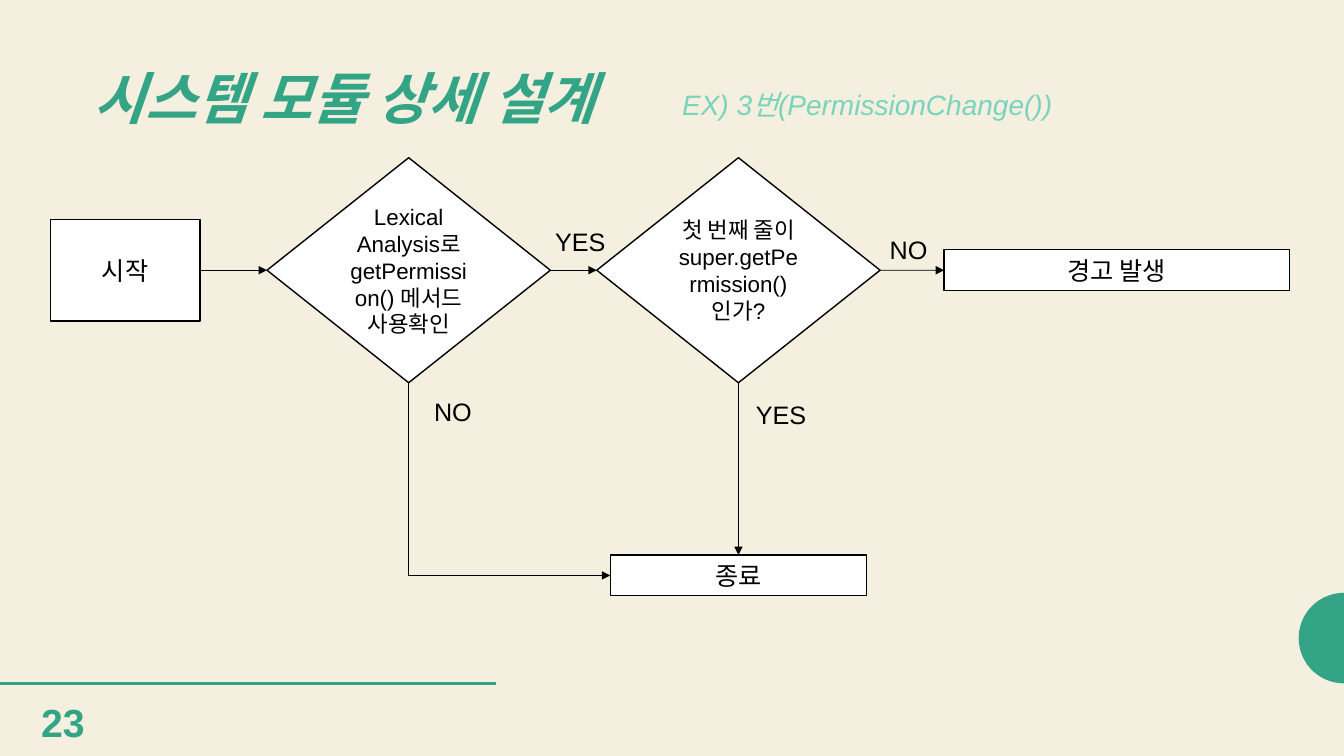
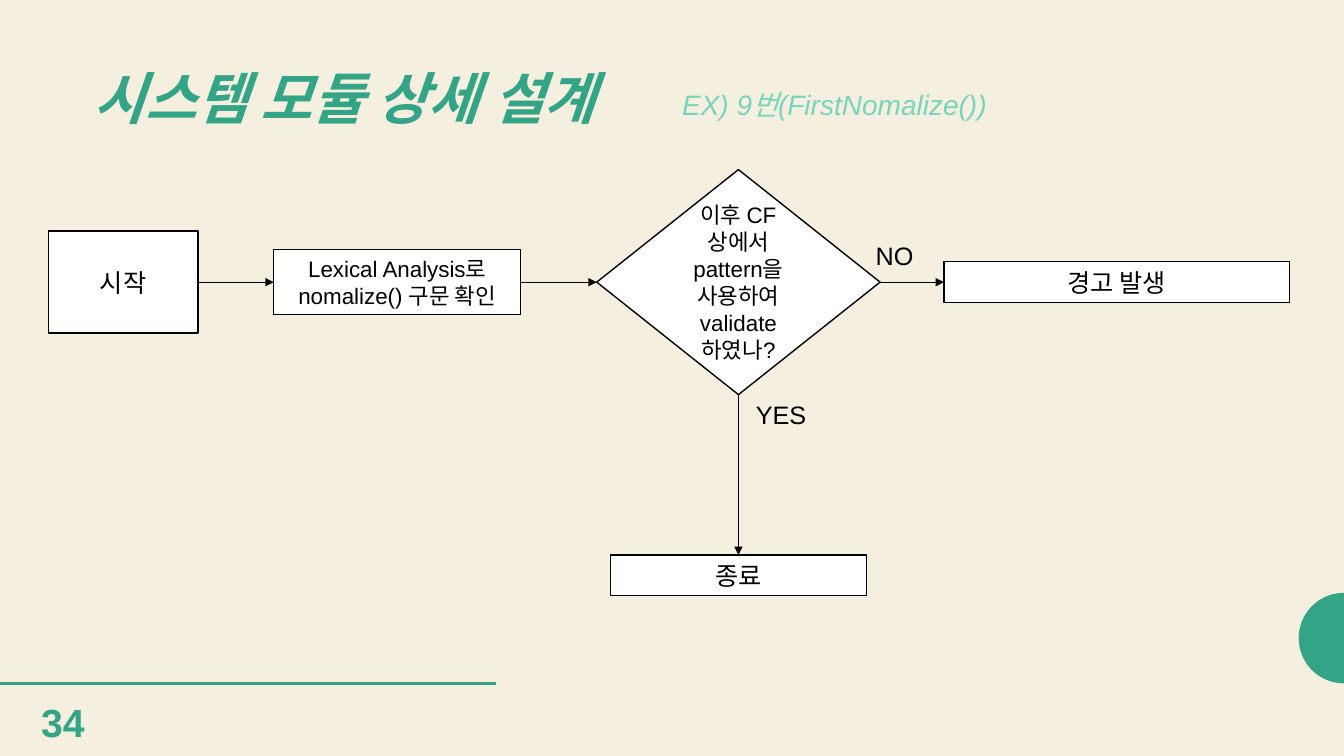
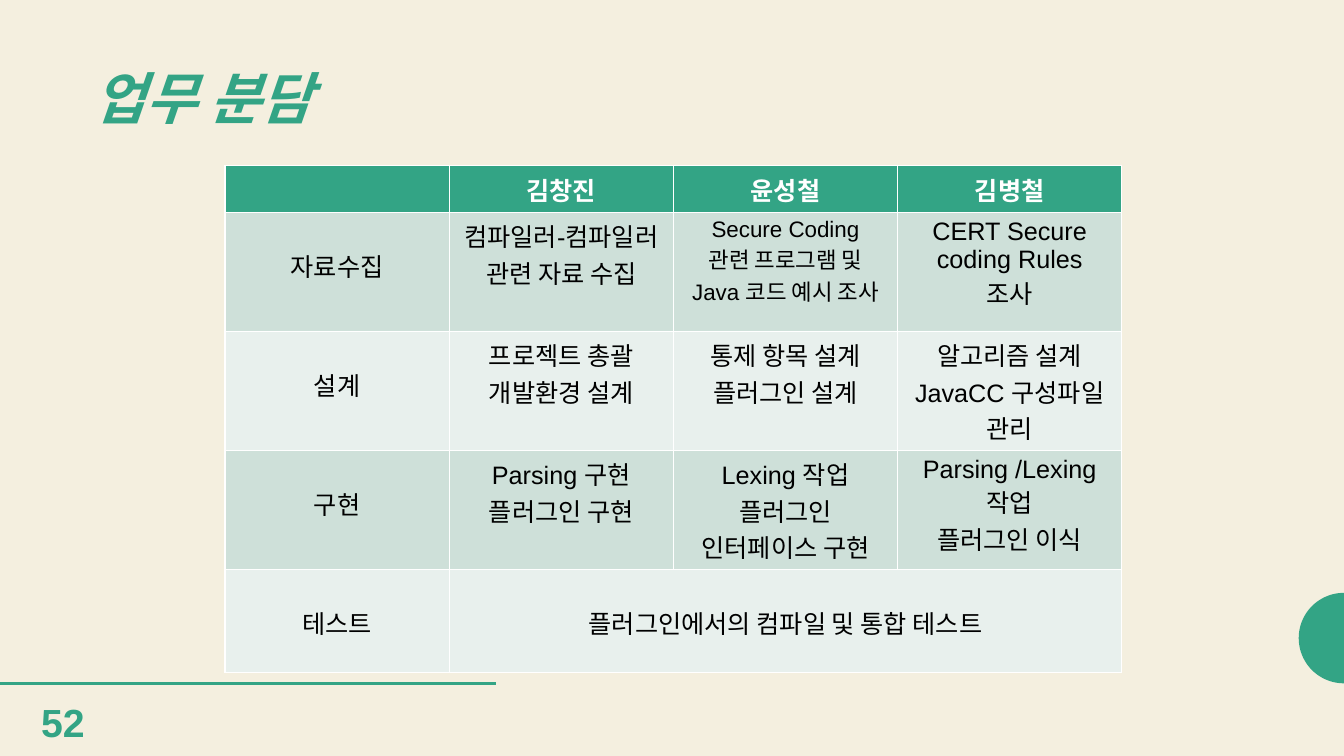
"""Build two module flowcharts and the table that shares out the work."""
import math
from dataclasses import dataclass

import pptx
import pptx.chart.data
import pptx.dml.color
import pptx.enum.shapes
import pptx.enum.text
import pptx.oxml
import pptx.oxml.ns
import pptx.presentation
import pptx.shapes.autoshape
import pptx.shapes.connector
import pptx.slide
import pptx.text.text
import pptx.util
from pptx.util import Cm

COLORS = {
    "background": "F4EFDF",
    "accent": "33A485",
    "subtitle": "78D5BB",
    "ink": "000000",
    "paper": "FFFFFF",
    "band_dark": "CEE0D9",
    "band_light": "E8F0ED",
}
FONT = "Arial"
SLIDE_WIDTH, SLIDE_HEIGHT = 33.87, 19.05
TOP, LEFT, BOTTOM, RIGHT = range(4)
RECTANGLE = pptx.enum.shapes.MSO_SHAPE.RECTANGLE
DIAMOND = pptx.enum.shapes.MSO_SHAPE.DIAMOND
STRAIGHT = pptx.enum.shapes.MSO_CONNECTOR.STRAIGHT
ELBOW = pptx.enum.shapes.MSO_CONNECTOR.ELBOW
ALIGN = pptx.enum.text.PP_ALIGN
MIDDLE = pptx.enum.text.MSO_ANCHOR.MIDDLE


@dataclass(frozen=True)
class TextStyle:
    size: int
    color: str = "ink"
    bold: bool = False
    italic: bool = False
    align: ALIGN = ALIGN.LEFT


@dataclass(frozen=True)
class Node:
    name: str
    text: str
    left: float
    middle: float
    width: float
    height: float
    geometry: pptx.enum.shapes.MSO_SHAPE = RECTANGLE
    size: int = 18


@dataclass(frozen=True)
class Arrow:
    source: str
    source_side: int
    target: str
    target_side: int


@dataclass(frozen=True)
class Label:
    text: str
    left: float
    top: float


@dataclass(frozen=True)
class Flowchart:
    number: int
    subtitle: str
    nodes: list[Node]
    arrows: list[Arrow]
    labels: list[Label]


TITLE = TextStyle(40, "accent", bold=True, italic=True)
SUBTITLE = TextStyle(20, "subtitle", italic=True)
PAGE_NUMBER = TextStyle(28, "accent", bold=True)
LABEL = TextStyle(18)
TABLE_HEADER = TextStyle(18, "paper", bold=True, align=ALIGN.CENTER)


def start_node(left: float, middle: float) -> Node:
    """Describe the box where a flow begins."""
    return Node("start", "시작", left, middle, 3.77, 2.57)


def decision_node(name: str, text: str, left: float, middle: float) -> Node:
    """Describe a diamond that asks a question."""
    return Node(name, text, left, middle, 7.14, 5.67, DIAMOND, 16)


def warning_node(middle: float) -> Node:
    """Describe the box that raises a warning."""
    return Node("warning", "경고 발생", 23.79, middle, 8.71, 1.03)


END_NODE = Node("end", "종료", 15.38, 14.5, 6.46, 1.03)
END_LABEL = Label("YES", 18.8, 9.93)
CHECK_ARROWS = [
    Arrow("check", RIGHT, "warning", LEFT),
    Arrow("check", BOTTOM, "end", TOP),
]
FLOWCHARTS = [
    Flowchart(
        23,
        "EX) 3번(PermissionChange())",
        [
            END_NODE,
            decision_node("check", "첫 번째 줄이 super.getPermission()인가?", 15.04, 6.81),
            warning_node(6.81),
            start_node(1.27, 6.81),
            decision_node("lexical", "Lexical Analysis로 getPermission() 메서드 사용확인", 6.73, 6.81),
        ],
        [
            Arrow("start", RIGHT, "lexical", LEFT),
            Arrow("lexical", RIGHT, "check", LEFT),
            Arrow("lexical", BOTTOM, "end", LEFT),
            *CHECK_ARROWS,
        ],
        [
            Label("NO", 22.17, 5.79),
            END_LABEL,
            Label("YES", 13.74, 5.59),
            Label("NO", 10.69, 9.86),
        ],
    ),
    Flowchart(
        34,
        "EX) 9번(FirstNomalize())",
        [
            END_NODE,
            decision_node("check", "이후 CF 상에서 pattern을 사용하여 validate 하였나?", 15.04, 7.11),
            Node("lexical", "Lexical Analysis로 nomalize() 구문 확인", 6.9, 7.11, 6.22, 1.63, size=16),
            warning_node(7.11),
            start_node(1.22, 7.11),
        ],
        [
            Arrow("start", RIGHT, "lexical", LEFT),
            Arrow("lexical", RIGHT, "check", LEFT),
            *CHECK_ARROWS,
        ],
        [Label("NO", 21.82, 5.94), END_LABEL],
    ),
]

MEMBERS = ["", "김창진", "윤성철", "김병철"]
TASKS = [
    [
        "자료수집",
        "컴파일러-컴파일러\n관련 자료 수집",
        "Secure Coding\n관련 프로그램 및 Java 코드 예시 조사",
        "CERT Secure coding Rules\n조사",
    ],
    [
        "설계",
        "프로젝트 총괄\n개발환경 설계",
        "통제 항목 설계\n플러그인 설계",
        "알고리즘 설계\nJavaCC 구성파일\n관리",
    ],
    [
        "구현",
        "Parsing 구현\n플러그인 구현",
        "Lexing 작업\n플러그인\n인터페이스 구현",
        "Parsing /Lexing 작업\n플러그인 이식",
    ],
    ["테스트", "플러그인에서의 컴파일 및 통합 테스트", "", ""],
]
ROW_HEIGHTS = [1.17, 3, 3, 3, 2.6]
COLUMN_WIDTH = 5.65
SMALL_CELL = (1, 2)


def rgb(name: str) -> pptx.dml.color.RGBColor:
    """Look up a colour by name."""
    return pptx.dml.color.RGBColor.from_string(COLORS[name])


def write(frame: pptx.text.text.TextFrame, text: str, style: TextStyle) -> None:
    """Fill a text frame and format its paragraphs."""
    frame.text = text
    for paragraph in frame.paragraphs:
        paragraph.alignment = style.align
        font = paragraph.font
        font.name = FONT
        font.size = pptx.util.Pt(style.size)
        font.bold = style.bold
        font.italic = style.italic
        font.color.rgb = rgb(style.color)


def add_text(slide: pptx.slide.Slide, text: str, style: TextStyle,
             left: float, top: float, width: float, height: float) -> None:
    """Add a wrapping text box."""
    box = slide.shapes.add_textbox(Cm(left), Cm(top), Cm(width), Cm(height))
    box.text_frame.word_wrap = True
    write(box.text_frame, text, style)


def style_line(connector: pptx.shapes.connector.Connector, color: str, width: float) -> None:
    """Colour a connector and take away its shadow."""
    connector.line.color.rgb = rgb(color)
    connector.line.width = pptx.util.Pt(width)
    properties = connector.element.spPr
    properties.append(pptx.oxml.parse_xml(f"<a:effectLst {pptx.oxml.ns.nsdecls('a')}/>"))


def add_half_circle(slide: pptx.slide.Slide) -> None:
    """Draw the half circle on the right edge."""
    radius, middle, steps = 1.14, 16.08, 50
    points = [
        (Cm(SLIDE_WIDTH - radius * math.sin(angle)), Cm(middle + radius * math.cos(angle)))
        for angle in (math.pi * step / steps for step in range(steps + 1))
    ]
    builder = slide.shapes.build_freeform(*points[0])
    builder.add_line_segments(points[1:], close=True)
    half_circle = builder.convert_to_shape()
    half_circle.shadow.inherit = False
    half_circle.fill.solid()
    half_circle.fill.fore_color.rgb = rgb("accent")
    half_circle.line.fill.background()


def add_slide(presentation: pptx.presentation.Presentation, title: str, number: int) -> pptx.slide.Slide:
    """Add a slide with its title, decoration and page number."""
    slide = presentation.slides.add_slide(presentation.slide_layouts.get_by_name("Title Only"))
    add_half_circle(slide)
    footer_line = slide.shapes.add_connector(STRAIGHT, 0, Cm(17.22), Cm(12.5), Cm(17.22))
    style_line(footer_line, "accent", 2)
    heading = slide.shapes.title
    heading.left, heading.top, heading.width, heading.height = Cm(2.11), Cm(1.55), Cm(14.48), Cm(2)
    heading.text_frame.auto_size = pptx.enum.text.MSO_AUTO_SIZE.NONE
    heading.text_frame.vertical_anchor = MIDDLE
    write(heading.text_frame, title, TITLE)
    heading.text_frame.paragraphs[0].line_spacing = 0.9
    add_text(slide, str(number), PAGE_NUMBER, 0.79, 17.48, 2, 1.45)
    return slide


def add_node(slide: pptx.slide.Slide, node: Node) -> pptx.shapes.autoshape.Shape:
    """Draw one box or diamond of a flowchart."""
    top = node.middle - node.height / 2
    shape = slide.shapes.add_shape(node.geometry, Cm(node.left), Cm(top), Cm(node.width), Cm(node.height))
    shape.shadow.inherit = False
    shape.fill.solid()
    shape.fill.fore_color.rgb = rgb("paper")
    shape.line.color.rgb = rgb("ink")
    shape.line.width = pptx.util.Pt(1)
    shape.text_frame.word_wrap = True
    shape.text_frame.vertical_anchor = MIDDLE
    write(shape.text_frame, node.text, TextStyle(node.size, align=ALIGN.CENTER))
    return shape


def bend_down_then_right(connector: pptx.shapes.connector.Connector) -> None:
    """Turn an elbow connector into one corner, down and then right."""
    run, drop = connector.width, connector.height
    center_x, center_y = connector.left + run // 2, connector.top + drop // 2
    connector.left, connector.top = center_x - drop // 2, center_y - run // 2
    connector.width, connector.height = drop, run
    properties = connector.element.spPr
    properties.find(pptx.oxml.ns.qn("a:prstGeom")).set("prst", "bentConnector2")
    transform = properties.find(pptx.oxml.ns.qn("a:xfrm"))
    transform.set("rot", "16200000")
    transform.set("flipH", "1")


def add_arrow(slide: pptx.slide.Slide, arrow: Arrow, shapes: dict[str, pptx.shapes.autoshape.Shape]) -> None:
    """Join two nodes with an arrow."""
    bent = (arrow.source_side, arrow.target_side) == (BOTTOM, LEFT)
    connector = slide.shapes.add_connector(ELBOW if bent else STRAIGHT, 0, 0, 0, 0)
    connector.begin_connect(shapes[arrow.source], arrow.source_side)
    connector.end_connect(shapes[arrow.target], arrow.target_side)
    if bent:
        bend_down_then_right(connector)
    style_line(connector, "ink", 0.5)
    head = pptx.oxml.parse_xml(f'<a:tailEnd {pptx.oxml.ns.nsdecls("a")} type="triangle"/>')
    connector.line._get_or_add_ln().append(head)


def add_flowchart(presentation: pptx.presentation.Presentation, flowchart: Flowchart) -> None:
    """Add a slide with one flowchart."""
    slide = add_slide(presentation, "시스템 모듈 상세 설계", flowchart.number)
    add_text(slide, flowchart.subtitle, SUBTITLE, 16.94, 2.08, 12.57, 1.5)
    shapes = {node.name: add_node(slide, node) for node in flowchart.nodes}
    for arrow in flowchart.arrows:
        add_arrow(slide, arrow, shapes)
    for label in flowchart.labels:
        width = 1.55 if label.text == "NO" else 1.93
        add_text(slide, label.text, LABEL, label.left, label.top, width, 1.03)


def add_task_table(presentation: pptx.presentation.Presentation) -> None:
    """Add the slide that shares out the work."""
    slide = add_slide(presentation, "업무 분담", 52)
    rows = [MEMBERS, *TASKS]
    frame = slide.shapes.add_table(
        len(rows), len(MEMBERS), Cm(5.67), Cm(4.18), Cm(COLUMN_WIDTH * len(MEMBERS)), Cm(sum(ROW_HEIGHTS))
    )
    table = frame.table
    for column in table.columns:
        column.width = Cm(COLUMN_WIDTH)
    for row_index, texts in enumerate(rows):
        table.rows[row_index].height = Cm(ROW_HEIGHTS[row_index])
        fill = "accent" if row_index == 0 else "band_dark" if row_index % 2 else "band_light"
        for column_index, text in enumerate(texts):
            cell = table.cell(row_index, column_index)
            cell.fill.solid()
            cell.fill.fore_color.rgb = rgb(fill)
            size = 16 if (row_index, column_index) == SMALL_CELL else 18
            write(cell.text_frame, text, TextStyle(size, align=ALIGN.CENTER) if row_index else TABLE_HEADER)
            if row_index and (column_index == 0 or row_index == len(TASKS)):
                cell.margin_top = Cm(0.88)
    table.cell(len(TASKS), 1).merge(table.cell(len(TASKS), len(MEMBERS) - 1))


def main() -> None:
    """Build and save the presentation."""
    presentation = pptx.Presentation()
    presentation.slide_width, presentation.slide_height = Cm(SLIDE_WIDTH), Cm(SLIDE_HEIGHT)
    background = presentation.slide_master.background.fill
    background.solid()
    background.fore_color.rgb = rgb("background")
    for flowchart in FLOWCHARTS:
        add_flowchart(presentation, flowchart)
    add_task_table(presentation)
    presentation.save("out.pptx")


if __name__ == "__main__":
    main()
